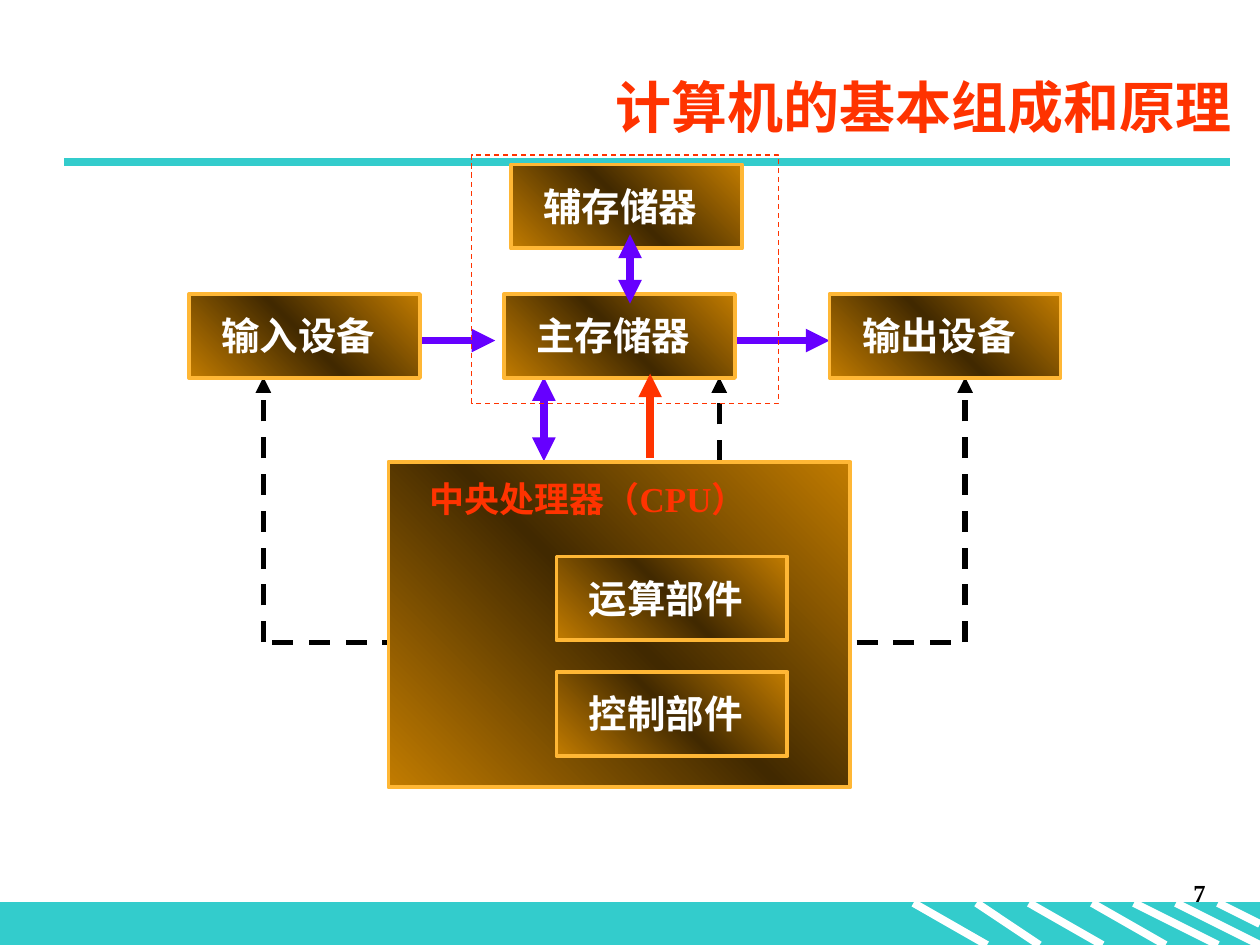
from copy import deepcopy

from lxml import etree
from pptx import Presentation
from pptx.dml.color import RGBColor
from pptx.enum.dml import MSO_LINE
from pptx.enum.shapes import MSO_CONNECTOR, MSO_SHAPE
from pptx.enum.text import MSO_ANCHOR, PP_ALIGN
from pptx.oxml.ns import qn
from pptx.util import Pt

RECTANGLE = MSO_SHAPE.RECTANGLE
STRAIGHT = MSO_CONNECTOR.STRAIGHT
DASH = MSO_LINE.DASH
LEFT_TO_CENTER, RIGHT = PP_ALIGN.CENTER, PP_ALIGN.RIGHT
TOP, MIDDLE = MSO_ANCHOR.TOP, MSO_ANCHOR.MIDDLE

COLORS = {
    "teal": "33CCCC", "white": "FFFFFF", "black": "000000", "red": "FF3300",
    "purple": "6600FF", "amber": "FFB735", "bronze": "C27C00", "brown": "412900",
}
FONT = "Times New Roman"
BOX_WIDTH, BOX_HEIGHT = 132, 48


def color(name):
    return RGBColor.from_string(COLORS[name])


class Diagram:
    """Draws styled elements on the current slide, in points."""

    def __init__(self, slide):
        self.slide = slide

    def rectangle(self, left, top, width, height, line, weight, fill=None, dash=None):
        shape = self.slide.shapes.add_shape(
            RECTANGLE, Pt(left), Pt(top), Pt(width), Pt(height))
        shape.shadow.inherit = False
        if fill:
            shape.fill.solid()
            shape.fill.fore_color.rgb = color(fill)
        else:
            shape.fill.background()
        shape.line.color.rgb = color(line)
        shape.line.width = Pt(weight)
        if dash:
            shape.line.dash_style = dash
        return shape

    def panel(self, left, top, width, height):
        shape = self.rectangle(left, top, width, height, "amber", 2.25)
        shape.fill.gradient()
        shape.fill.gradient_angle = 45
        first, last = shape.fill.gradient_stops
        for stop, position, name in ((first, 0, "bronze"), (last, 0.5, "brown")):
            stop.position = position
            stop.color.rgb = color(name)
        # Third stop mirrors the first one
        stops = shape._element.spPr.find(qn("a:gradFill")).find(qn("a:gsLst"))
        end = deepcopy(stops[0])
        end.set("pos", "100000")
        stops.append(end)

    def text(self, words, left, top, width, height, size, name,
             align=LEFT_TO_CENTER, anchor=TOP):
        shape = self.slide.shapes.add_textbox(Pt(left), Pt(top), Pt(width), Pt(height))
        frame = shape.text_frame
        frame.word_wrap = True
        frame.vertical_anchor = anchor
        paragraph = frame.paragraphs[0]
        paragraph.alignment = align
        run = paragraph.add_run()
        run.text = words
        run.font.name = FONT
        run.font.size = Pt(size)
        run.font.bold = True
        run.font.color.rgb = color(name)

    def labelled_box(self, words, left, top):
        self.panel(left, top, BOX_WIDTH, BOX_HEIGHT)
        self.text(words, left + 7, top + 7, 111, 34, 22, "white")

    def line(self, x1, y1, x2, y2, name, weight=4.5, dash=None, arrows=()):
        connector = self.slide.shapes.add_connector(
            STRAIGHT, Pt(x1), Pt(y1), Pt(x2), Pt(y2))
        connector.line.color.rgb = color(name)
        connector.line.width = Pt(weight)
        if dash:
            connector.line.dash_style = dash
        properties = connector._element.spPr
        for end in arrows:
            etree.SubElement(properties.find(qn("a:ln")), qn("a:" + end), type="triangle")
        etree.SubElement(properties, qn("a:effectLst"))


def main():
    presentation = Presentation()
    presentation.slide_width, presentation.slide_height = Pt(720), Pt(540)
    slide = presentation.slides.add_slide(presentation.slide_layouts[6])
    diagram = Diagram(slide)
    one_way, two_way = ("tailEnd",), ("headEnd", "tailEnd")

    # Footer band with slanted stripes, and the title rule
    diagram.rectangle(0, 516, 720, 24, "teal", 0.75, fill="teal")
    for start, end in ((522, 564), (558, 594), (588, 630), (624, 666), (648, 696), (672, 720)):
        diagram.line(start, 516, end, 540, "white")
    diagram.line(696, 516, 720, 528, "white")
    diagram.line(36.75, 92.6, 702.75, 92.6, "teal")
    diagram.text("7", 546, 498, 150, 36, 14, "black", align=RIGHT)

    # Data flow between devices and main memory
    diagram.line(240, 194.6, 283, 194.6, "purple", arrows=one_way)
    diagram.line(418.5, 194.6, 474, 194.6, "purple", arrows=one_way)
    diagram.line(310.8, 263.5, 310.8, 215.5, "purple", arrows=two_way)

    # Dashed control signals from the processor
    for processor_edge, device in ((230.5, 150.5), (489.5, 551.5)):
        diagram.line(processor_edge, 367, device, 367, "black", 3, DASH)
        diagram.line(device, 367, device, 215.5, "black", 3, DASH, one_way)
    diagram.line(411, 263.5, 411, 215.5, "black", 3, DASH, one_way)

    # Devices and main memory
    for words, left in (("输入设备", 108), ("输出设备", 474), ("主存储器", 288)):
        diagram.labelled_box(words, left, 168)

    # Processor and its parts
    diagram.panel(222, 264, 264, 186)
    diagram.text("中央处理器（CPU）", 235, 269.5, 202, 31, 20, "red")
    for words, top in (("运算部件", 318), ("控制部件", 384)):
        diagram.labelled_box(words, 318, top)
    diagram.line(371.5, 261.5, 371.5, 213.5, "red", arrows=one_way)

    # Auxiliary memory
    diagram.labelled_box("辅存储器", 292, 94)
    diagram.line(360, 173.5, 360, 134, "purple", arrows=two_way)

    # Title and the outline around both memories
    diagram.text("计算机的基本组成和原理", 99, 32, 612, 57, 32, "red", RIGHT, MIDDLE)
    diagram.rectangle(269.5, 88.5, 175.5, 142, "red", 0.75, dash=DASH)

    presentation.save("out.pptx")


if __name__ == "__main__":
    main()
